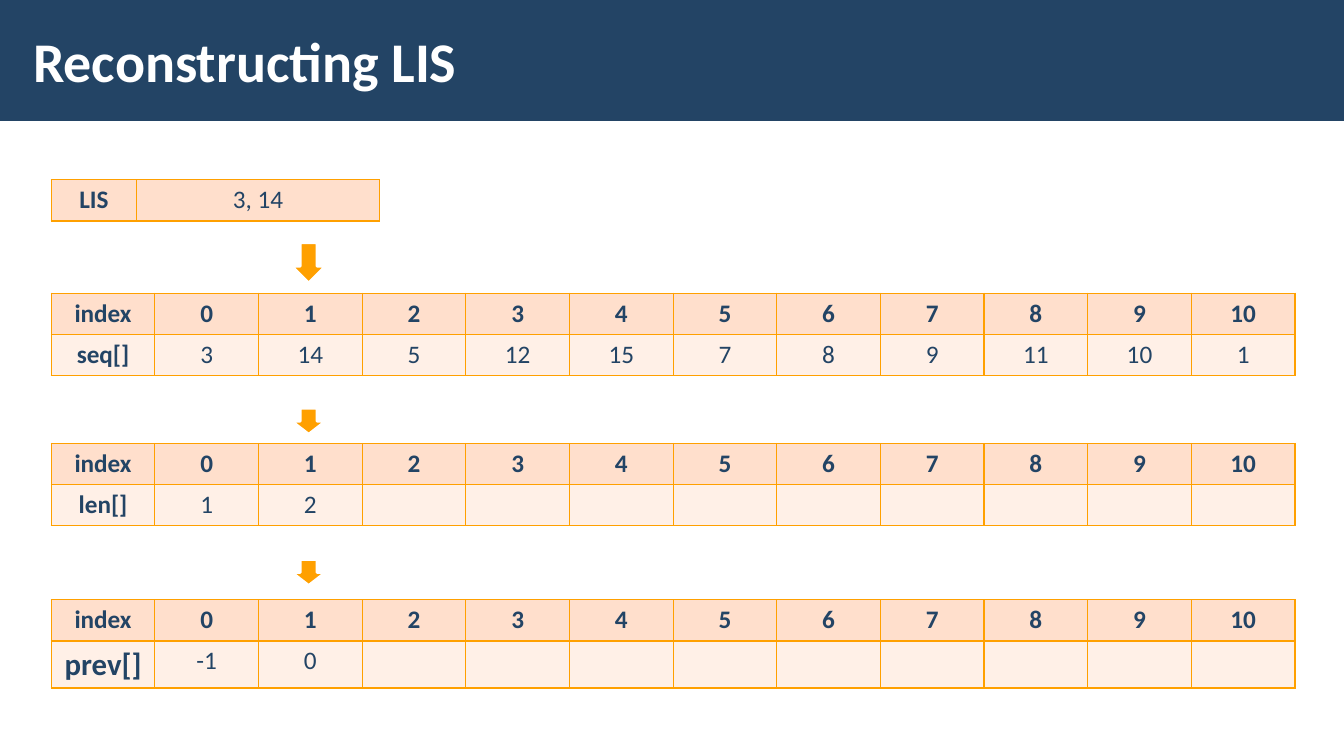
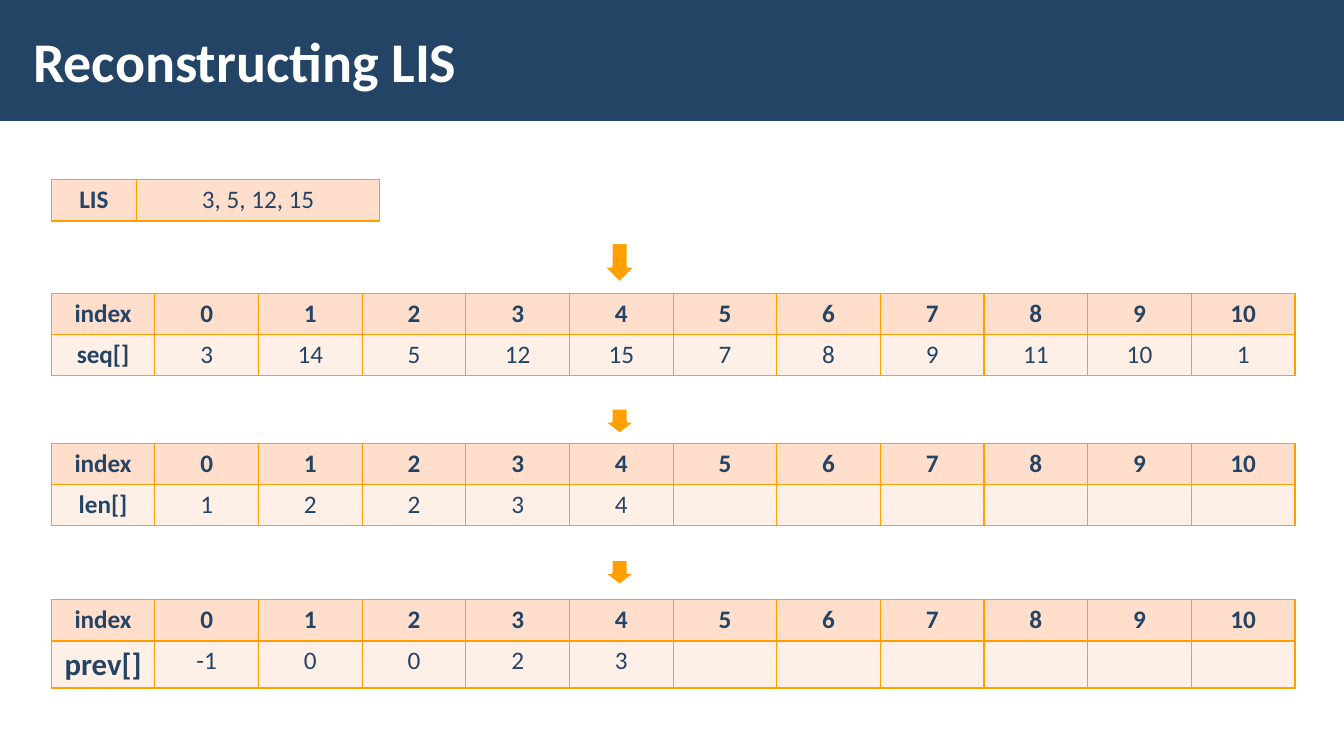
from lxml import etree
from pptx import Presentation
from pptx import util as u
from pptx.dml.color import RGBColor
from pptx.enum import shapes, text
from pptx.oxml.ns import qn

NAVY = RGBColor(0x23, 0x44, 0x65)
ORANGE = RGBColor(0xFF, 0xA0, 0x00)
PEACH = RGBColor(0xFF, 0xDF, 0xCC)
CREAM = RGBColor(0xFF, 0xF0, 0xE7)
WHITE = RGBColor(0xFF, 0xFF, 0xFF)
FONT = "Calibri"

GRID_COLS, GRID_ROWS = 160, 90
SLIDE_W, SLIDE_H = u.Inches(13.33), u.Inches(7.5)
LEFT, ARRAY_W, ROW_H = 6.1, 148.1, 4.9
BAND_BOX = (0, 0, GRID_COLS, 14.4)
TITLE_BOX = (2.5, 1.3, 127.6, 11.6)
LIS_BOX = (LEFT, 21.4, 39.1, ROW_H)
INDEXES = range(11)
ARRAY_COLS = len(INDEXES) + 1
ARROW_W, ARROW_SHIFT = 4, -0.2

ARRAYS = {
    "seq[]": {"top": 34.9, "arrow": 4.8, "gap": 1.2, "size": 18},
    "len[]": {"top": 52.8, "arrow": 3.1, "gap": 1.1, "size": 18},
    "prev[]": {"top": 71.4, "arrow": 3.1, "gap": 1.7, "size": 22},
}
SEQUENCE = [3, 14, 5, 12, 15, 7, 8, 9, 11, 10, 1]
STEPS = [
    {"index": 1, "lis": "3, 14",
     "values": {"seq[]": SEQUENCE, "len[]": [1, 2], "prev[]": [-1, 0]}},
    {"index": 4, "lis": "3, 5, 12, 15",
     "values": {"seq[]": SEQUENCE, "len[]": [1, 2, 2, 3, 4],
                "prev[]": [-1, 0, 0, 2, 3]}},
]


def place(box):
    """Turn a box in grid columns and rows into slide lengths."""
    units = (SLIDE_W / GRID_COLS, SLIDE_H / GRID_ROWS) * 2
    return [u.Emu(round(part * unit)) for part, unit in zip(box, units)]


def write(paragraph, words, size, color, bold):
    """Add one styled run to a paragraph."""
    run = paragraph.add_run()
    run.text = str(words)
    run.font.name, run.font.size, run.font.bold = FONT, u.Pt(size), bold
    run.font.color.rgb = color


def add_solid(slide, kind, box, fill):
    """Add a plain preset shape in one colour."""
    solid = slide.shapes.add_shape(kind, *place(box))
    solid.shadow.inherit = False
    solid.fill.solid()
    solid.fill.fore_color.rgb = fill
    solid.line.fill.background()
    return solid


def add_header(slide, title):
    """Draw the title band and its heading."""
    add_solid(slide, shapes.MSO_SHAPE.RECTANGLE, BAND_BOX, NAVY)
    frame = slide.shapes.add_textbox(*place(TITLE_BOX)).text_frame
    frame.word_wrap = True
    frame.vertical_anchor = text.MSO_ANCHOR.MIDDLE
    frame.margin_left = frame.margin_right = u.Inches(0.12)
    frame.margin_top = frame.margin_bottom = u.Inches(0.04)
    write(frame.paragraphs[0], title, 40, WHITE, True)


def style_cell(cell, fill):
    """Give a cell its orange borders and its fill."""
    properties = cell._tc.get_or_add_tcPr()
    for side in ("a:lnL", "a:lnR", "a:lnT", "a:lnB"):
        border = etree.SubElement(properties, qn(side), w=str(u.Pt(1)))
        paint = etree.SubElement(border, qn("a:solidFill"))
        etree.SubElement(paint, qn("a:srgbClr"), val=str(ORANGE))
    cell.fill.solid()
    cell.fill.fore_color.rgb = fill


def add_grid(slide, box, rows, shares, bold_header=True, label_size=18):
    """Add a table whose column widths are shares of its box."""
    left, top, width, height = place(box)
    grid = slide.shapes.add_table(len(rows), len(shares), left, top, width, height).table
    grid.first_row = grid.horz_banding = False
    for column, share in zip(grid.columns, shares):
        column.width = round(width * share)
    for r, values in enumerate(rows):
        for c in range(len(shares)):
            cell = grid.cell(r, c)
            style_cell(cell, CREAM if r else PEACH)
            paragraph = cell.text_frame.paragraphs[0]
            paragraph.alignment = text.PP_ALIGN.CENTER
            paragraph.font.size = u.Pt(18)
            if c < len(values):
                size = label_size if r and c == 0 else 18
                bold = c == 0 or (r == 0 and bold_header)
                write(paragraph, values[c], size, NAVY, bold)


def add_arrow(slide, box, index, height, gap):
    """Point at one index column from just above an array's box."""
    left, top, width, _ = box
    center = left + width * (index + 1.5) / ARRAY_COLS + ARROW_SHIFT
    arrow_box = (center - ARROW_W / 2, top - gap - height, ARROW_W, height)
    arrow = add_solid(slide, shapes.MSO_SHAPE.DOWN_ARROW, arrow_box, ORANGE)
    arrow.line.color.rgb = WHITE
    arrow.line.width = u.Pt(2)


def add_array(slide, box, label, values, look, index):
    """Draw an indexed array and the arrow at its current index."""
    add_arrow(slide, box, index, look["arrow"], look["gap"])
    rows = [["index", *INDEXES], [label, *values]]
    add_grid(slide, box, rows, [1 / ARRAY_COLS] * ARRAY_COLS, label_size=look["size"])


def add_step(deck, step):
    """Build the slide for one step of the reconstruction."""
    slide = deck.slides.add_slide(deck.slide_layouts[6])
    add_header(slide, "Reconstructing LIS")
    add_grid(slide, LIS_BOX, [["LIS", step["lis"]]], [0.26, 0.74], bold_header=False)
    for label, look in ARRAYS.items():
        box = (LEFT, look["top"], ARRAY_W, 2 * ROW_H)
        add_array(slide, box, label, step["values"][label], look, step["index"])


def main():
    """Build and save the deck."""
    deck = Presentation()
    deck.slide_width, deck.slide_height = SLIDE_W, SLIDE_H
    for step in STEPS:
        add_step(deck, step)
    deck.save("out.pptx")


if __name__ == "__main__":
    main()
